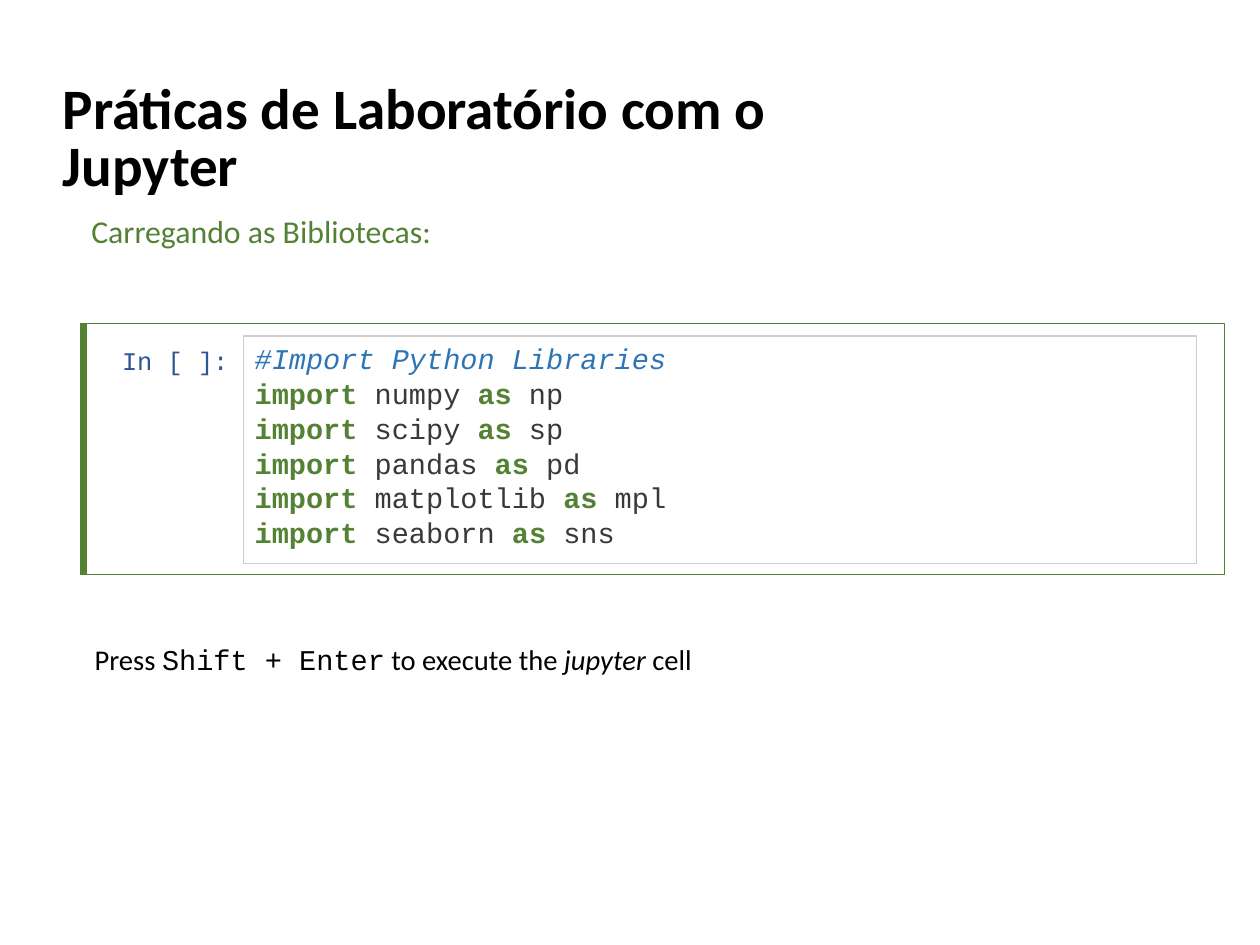
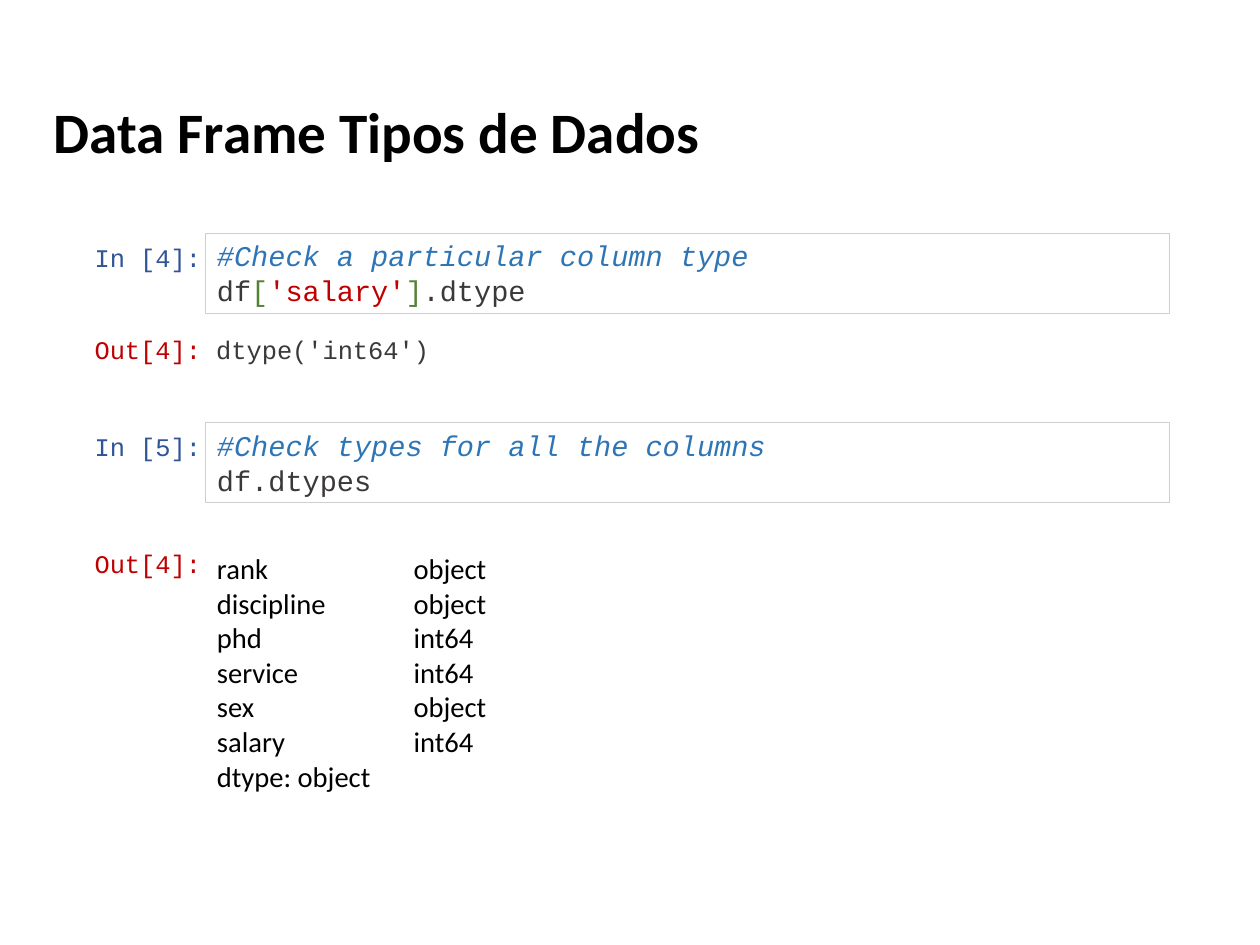
from dataclasses import dataclass

from pptx import Presentation
from pptx.dml.color import RGBColor as Color
from pptx.enum.shapes import MSO_CONNECTOR as Link, MSO_SHAPE as Form
from pptx.enum.text import MSO_ANCHOR as Anchor, MSO_AUTO_SIZE as Fit, PP_ALIGN as Align
from pptx.oxml.ns import qn
from pptx.util import Cm, Inches, Pt


@dataclass(frozen=True)
class Theme:
    sans: str = "Calibri"
    mono: str = "Courier New"
    black: str = "000000"
    dark: str = "3B3838"
    green: str = "548235"
    blue: str = "2E75B6"
    navy: str = "2F5597"
    red: str = "C00000"
    gray: str = "D0CECE"
    title: int = 36
    head: int = 20
    body: int = 18
    label: int = 16
    thin: float = 0.75
    thick: float = 4
    gap: float = 0.1
    pitch: float = 21.75


THEME = Theme()
NOTE = dict(color=THEME.blue, italic=True)
KEY = dict(color=THEME.green, bold=True)
MARK = dict(color=THEME.green)
RED = dict(color=THEME.red)
CODE = dict(font=THEME.mono, color=THEME.dark, pitch=Pt(THEME.pitch),
            inset=(0.1, 0.04, 0.1, 0.05))


def write(frame, lines, font=THEME.sans, size=THEME.body, color=THEME.black,
          bold=False, italic=False, pitch=None, inset=(0.1, 0.05, 0.1, 0.05),
          anchor=Anchor.TOP):
    base = dict(font=font, size=size, color=color, bold=bold, italic=italic)
    frame.word_wrap = True
    frame.auto_size = Fit.NONE
    frame.vertical_anchor = anchor
    (frame.margin_left, frame.margin_top,
     frame.margin_right, frame.margin_bottom) = map(Inches, inset)
    for index, line in enumerate(lines):
        para = frame.add_paragraph() if index else frame.paragraphs[0]
        para.alignment = Align.LEFT
        para.space_before = para.space_after = Pt(THEME.gap)
        if pitch:
            para.line_spacing = pitch
        for part in [line] if isinstance(line, str) else line:
            words, extra = (part, {}) if isinstance(part, str) else part
            look = {**base, **extra}
            run = para.add_run()
            run.text = words
            run.font.name = look["font"]
            run.font.size = Pt(look["size"])
            run.font.bold = look["bold"]
            run.font.italic = look["italic"]
            run.font.color.rgb = Color.from_string(look["color"])


class Deck:
    def __init__(self, theme, width, height):
        self.theme = theme
        self.file = Presentation()
        self.file.slide_width = width
        self.file.slide_height = height
        self.slide = None

    def page(self, title, left, top, height):
        self.slide = self.file.slides.add_slide(self.file.slide_layouts[5])
        shape = self.slide.shapes.title
        shape.left, shape.top = Inches(left), Inches(top)
        shape.width, shape.height = Inches(7.8), Inches(height)
        write(shape.text_frame, [title], size=self.theme.title, bold=True,
              pitch=0.83, inset=(0, 0.09, 0, 0), anchor=Anchor.MIDDLE)

    def text(self, left, top, width, height, lines, **look):
        box = self.slide.shapes.add_textbox(*map(Inches, (left, top, width, height)))
        write(box.text_frame, lines, **look)

    def code(self, left, top, width, height, lines):
        box = self.frame(left, top, width, height, self.theme.gray)
        write(box.text_frame, lines, **CODE)

    def label(self, left, top, words, color, reply=""):
        line = [(words, dict(color=color))]
        if reply:
            line.append(" " + reply)
        self.text(left, top, 5, 0.4, [line], size=self.theme.label, **CODE)

    def frame(self, left, top, width, height, color):
        box = self.slide.shapes.add_shape(
            Form.RECTANGLE, *map(Inches, (left, top, width, height)))
        box.shadow.inherit = False
        box.fill.background()
        box.line.color.rgb = Color.from_string(color)
        box.line.width = Pt(self.theme.thin)
        return box

    def line(self, left, top, right, bottom, color):
        link = self.slide.shapes.add_connector(
            Link.STRAIGHT, *map(Inches, (left, top, right, bottom)))
        link.line.color.rgb = Color.from_string(color)
        link.line.width = Pt(self.theme.thick)
        props = link._element.spPr
        props.append(props.makeelement(qn("a:effectLst"), {}))


def load_page(deck):
    theme = deck.theme
    deck.page("Práticas de Laboratório com o Jupyter", 0.55, 0.57, 1.24)
    deck.label(0.97, 2.94, "In [ ]:", theme.navy)
    names = [("numpy", "np"), ("scipy", "sp"), ("pandas", "pd"),
             ("matplotlib", "mpl"), ("seaborn", "sns")]
    lines = [[("import", KEY), f" {name} ", ("as", KEY), f" {short}"]
             for name, short in names]
    deck.code(2.13, 2.94, 8.34, 1.99, [[("#Import Python Libraries", NOTE)], *lines])
    deck.frame(0.73, 2.83, 9.98, 2.2, theme.green)
    deck.line(0.73, 2.83, 0.73, 5.03, theme.green)
    deck.text(0.73, 5.57, 8.39, 0.42, [[
        "Press ", ("Shift + Enter", dict(font=theme.mono)), " to execute the ",
        ("jupyter", dict(italic=True)), " cell"]])
    deck.text(0.7, 1.81, 4.18, 0.38, ["Carregando as Bibliotecas:"],
              size=theme.head, color=theme.green, pitch=0.83,
              inset=(0.1, 0.1, 0.1, 0.05))


def type_page(deck):
    theme = deck.theme
    deck.page("Data Frame Tipos de Dados", 0.47, 0.79, 0.71)
    cells = [
        (2.04, "In [4]:", "#Check a particular column type",
         ["df", ("[", MARK), ("'salary'", RED), ("]", MARK), ".dtype"]),
        (3.7, "In [5]:", "#Check types for all the columns", "df.dtypes"),
    ]
    for top, label, note, line in cells:
        deck.label(0.73, top, label, theme.navy)
        deck.code(1.8, top, 8.43, 0.7, [[(note, NOTE)], line])
    deck.label(0.73, 2.85, "Out[4]:", theme.red, "dtype('int64')")
    deck.label(0.73, 4.72, "Out[4]:", theme.red)
    deck.text(1.8, 4.77, 3.53, 2.2, ["rank", "discipline", "phd", "service",
                                     "sex", "salary", "dtype: object"])
    deck.text(3.52, 4.77, 3.53, 1.9, ["object", "object", "int64", "int64",
                                      "object", "int64"])


def main():
    deck = Deck(THEME, Cm(28), Cm(21))
    load_page(deck)
    type_page(deck)
    deck.file.save("out.pptx")


if __name__ == "__main__":
    main()
